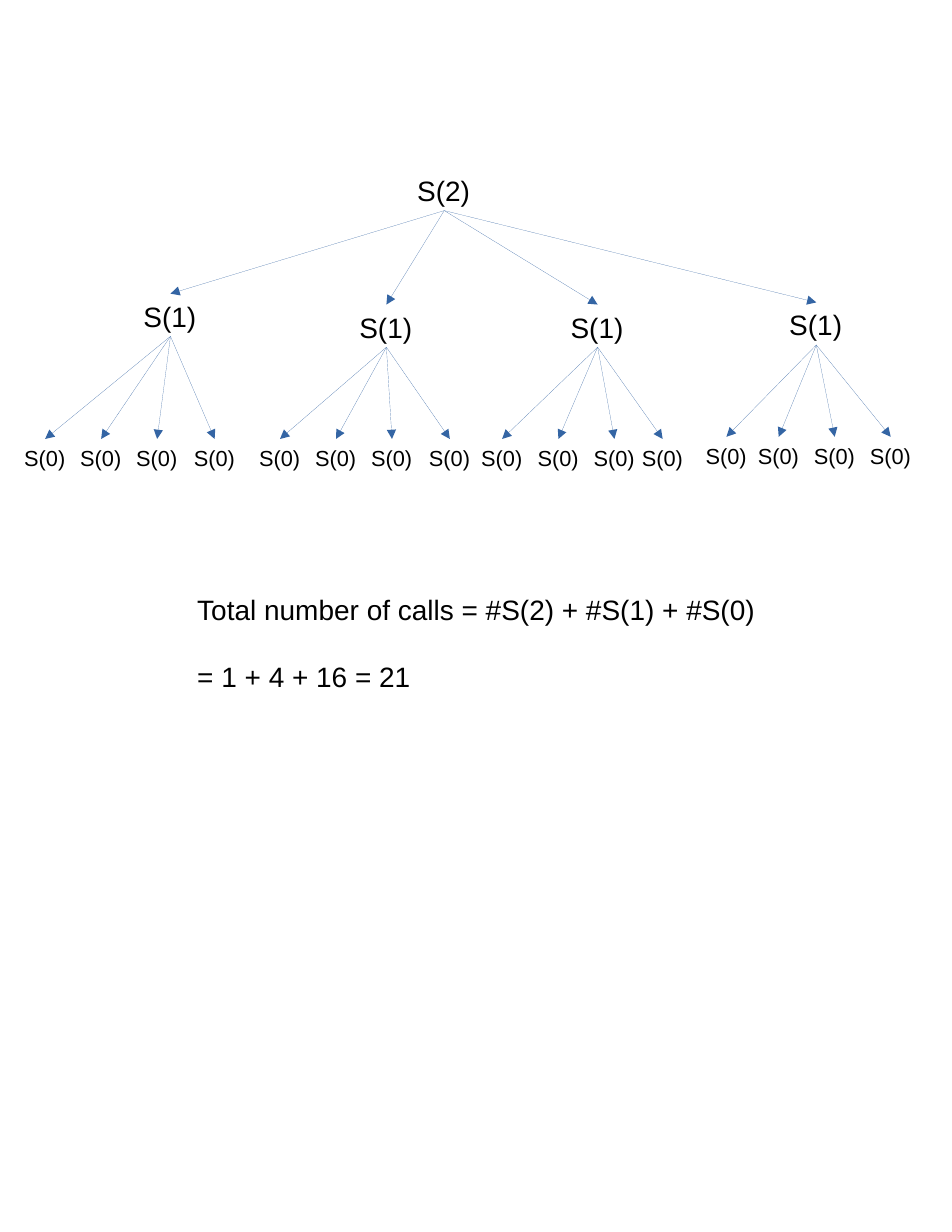
from dataclasses import dataclass

from lxml.etree import SubElement
from pptx import Presentation
from pptx.dml.color import RGBColor
from pptx.enum.shapes import MSO_CONNECTOR
from pptx.enum.text import MSO_AUTO_SIZE
from pptx.oxml.ns import qn
from pptx.util import Pt


@dataclass(frozen=True)
class Theme:
    font: str = "Arial"
    ink: RGBColor = RGBColor(0x00, 0x00, 0x00)
    arrow: RGBColor = RGBColor(0x34, 0x65, 0xA4)
    large: int = 18
    small: int = 14


theme = Theme()
node_width, node_height = 49, 27.4
leaf_width, leaf_height = 41, 23
root_center, root_top = 285.6, 108

# Each branch: center, top, leaf top, leaf centers
branches = [
    (109.6, 188.8, 282.2, (29, 65, 101, 138)),
    (248.4, 195.8, 282.2, (180, 216, 252, 289.2)),
    (384.2, 195.8, 282.2, (322.8, 359, 395, 426)),
    (524.8, 194.4, 280.8, (467, 500.6, 536.6, 572.6)),
]

deck = Presentation()
deck.slide_width, deck.slide_height = Pt(612), Pt(792)
page = deck.slides.add_slide(deck.slide_layouts[6])


def add_text(lines, center, top, width, height, size, gap=0):
    """Add a text box centered on a point, with gap points between its lines."""
    box = page.shapes.add_textbox(Pt(center - width / 2), Pt(top), Pt(width), Pt(height))
    frame = box.text_frame
    frame.word_wrap = False
    frame.auto_size = MSO_AUTO_SIZE.SHAPE_TO_FIT_TEXT
    font_format = {"name": theme.font, "size": Pt(size)}
    for index, line in enumerate(lines):
        para = frame.add_paragraph() if index else frame.paragraphs[0]
        para.space_before = Pt(gap if index else 0)
        span = para.add_run()
        span.text = line
        for attribute, value in font_format.items():
            setattr(span.font, attribute, value)
        span.font.color.rgb = theme.ink


def add_arrow(start_x, start_y, end_x, end_y):
    arrow = page.shapes.add_connector(
        MSO_CONNECTOR.STRAIGHT, Pt(start_x), Pt(start_y), Pt(end_x), Pt(end_y))
    arrow.line.color.rgb = theme.arrow
    properties = arrow._element.spPr
    outline = properties.find(qn("a:ln"))
    outline.set("w", "0")  # line.width = 0 would drop the attribute
    SubElement(outline, qn("a:tailEnd"), type="triangle")
    SubElement(properties, qn("a:effectLst"))


add_text(["S(2)"], root_center, root_top, node_width, node_height, theme.large)
for center, top, leaf_top, leaf_centers in branches:
    add_text(["S(1)"], center, top, node_width, node_height, theme.large)
    add_arrow(root_center, root_top + node_height, center, top)
    for leaf_center in leaf_centers:
        add_text(["S(0)"], leaf_center, leaf_top, leaf_width, leaf_height, theme.small)
        add_arrow(center, top + node_height, leaf_center, leaf_top)

add_text(["Total number of calls = #S(2) + #S(1) + #S(0)", "= 1 + 4 + 16 = 21"],
         306.2, 377.6, 373, 70, theme.large, gap=21)

deck.save("out.pptx")
